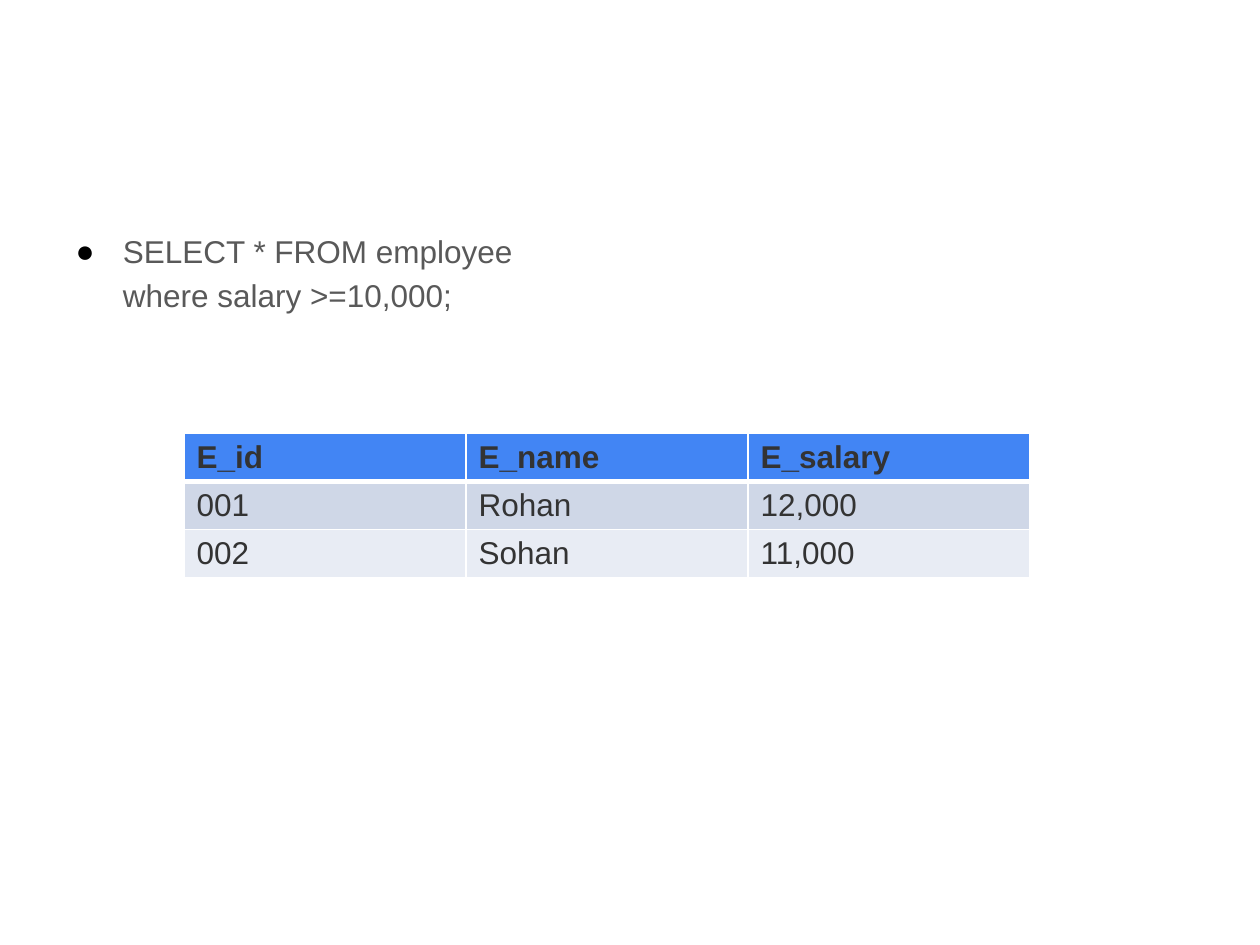
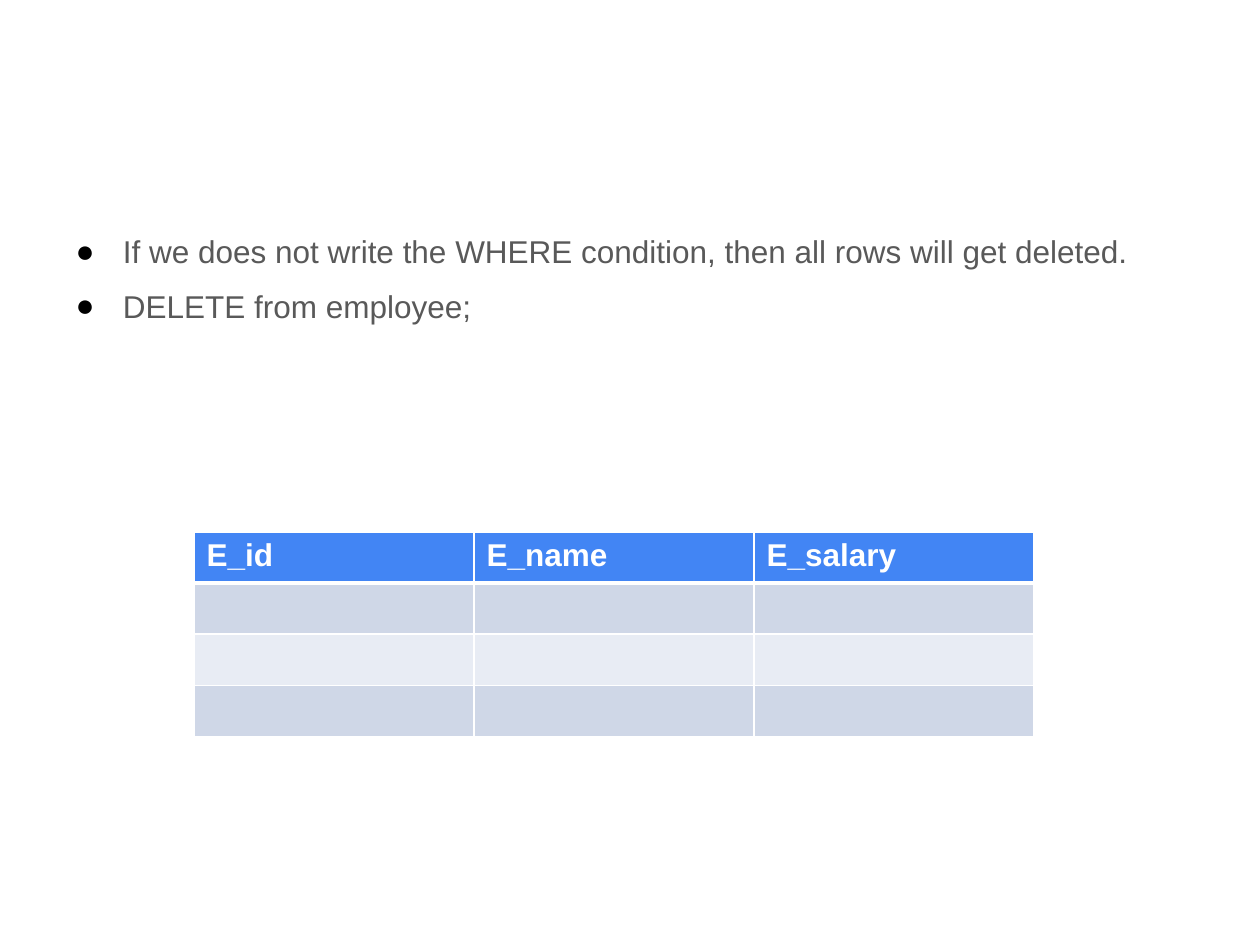
import pptx
import pptx.dml.color
import pptx.enum.text
import pptx.oxml.ns
import pptx.util
from lxml import etree

Pt = pptx.util.Pt
qn = pptx.oxml.ns.qn
RGBColor = pptx.dml.color.RGBColor

BLACK = RGBColor(0x00, 0x00, 0x00)
WHITE = RGBColor(0xFF, 0xFF, 0xFF)
BODY_GREY = RGBColor(0x59, 0x59, 0x59)
CELL_GREY = RGBColor(0x33, 0x33, 0x33)
HEADER_BLUE = RGBColor(0x42, 0x85, 0xF4)
BANDS = [RGBColor(0xCF, 0xD7, 0xE7), RGBColor(0xE8, 0xEC, 0xF4)]

TEXT_FORMAT = {"name": "Arial", "size": Pt(18)}
BODY_PLACE = {"left": Pt(36), "top": Pt(126), "width": Pt(648), "height": Pt(356.4)}
COLUMNS = ["E_id", "E_name", "E_salary"]

SLIDES = [
    {
        "bullets": ["SELECT * FROM employee\vwhere salary >=10,000;"],
        "rows": [["001", "Rohan", "12,000"], ["002", "Sohan", "11,000"]],
        "left": 105.1, "top": 247.8, "column_width": 161.2, "row_height": 17.3,
        "header_color": CELL_GREY,
    },
    {
        "bullets": [
            "If we does not write the WHERE condition, then all rows will get deleted.",
            "DELETE from employee;",
        ],
        "rows": [[""] * 3] * 3,
        "left": 110.9, "top": 304, "column_width": 160, "row_height": 29.2,
        "header_color": WHITE,
    },
]


def format_runs(para, color, bold=False):
    for span in para.runs:
        for name, value in {**TEXT_FORMAT, "bold": bold}.items():
            setattr(span.font, name, value)
        span.font.color.rgb = color


def add_border(cell, side, width):
    line = etree.SubElement(cell._tc.get_or_add_tcPr(), qn(f"a:ln{side}"), w=str(Pt(width)))
    fill = etree.SubElement(line, qn("a:solidFill"))
    etree.SubElement(fill, qn("a:srgbClr"), val=str(WHITE))


deck = pptx.Presentation()
deck.slide_width, deck.slide_height = Pt(720), Pt(540)

for content in SLIDES:
    page = deck.slides.add_slide(deck.slide_layouts[1])
    title = page.shapes.title._element
    title.getparent().remove(title)

    # Bulleted text
    body = page.placeholders[1]
    for name, value in BODY_PLACE.items():
        setattr(body, name, value)
    frame = body.text_frame
    frame.auto_size = pptx.enum.text.MSO_AUTO_SIZE.NONE
    for index, text in enumerate(content["bullets"]):
        para = frame.add_paragraph() if index else frame.paragraphs[0]
        para.text = text
        para.line_spacing = 1.15
        para.space_before = Pt(6.4 if index else 0)
        properties = para._p.get_or_add_pPr()
        properties.set("marL", str(Pt(27)))
        properties.set("indent", str(-Pt(27)))
        bullet_color = etree.SubElement(properties, qn("a:buClr"))
        etree.SubElement(bullet_color, qn("a:srgbClr"), val=str(BLACK))
        etree.SubElement(properties, qn("a:buFont"), typeface="Arial")
        etree.SubElement(properties, qn("a:buChar"), char="●")
        for line_break in para._p.findall(qn("a:br")):
            etree.SubElement(line_break, qn("a:rPr"), sz="1800")
        format_runs(para, BODY_GREY)

    # Employee table
    rows = [COLUMNS] + content["rows"]
    width, height = content["column_width"], content["row_height"]
    table = page.shapes.add_table(
        len(rows), len(COLUMNS), Pt(content["left"]), Pt(content["top"]),
        Pt(width * len(COLUMNS)), Pt(height * len(rows))).table
    for column in table.columns:
        column.width = Pt(width)
    for row in table.rows:
        row.height = Pt(height)
    for row_index, row in enumerate(rows):
        is_header = row_index == 0
        for column_index, text in enumerate(row):
            cell = table.cell(row_index, column_index)
            for side in "LRTB":
                under_header = (row_index, side) in [(0, "B"), (1, "T")]
                add_border(cell, side, 3 if under_header else 1)
            cell.fill.solid()
            cell.fill.fore_color.rgb = HEADER_BLUE if is_header else BANDS[(row_index - 1) % 2]
            if text:
                cell.text = text
                color = content["header_color"] if is_header else CELL_GREY
                format_runs(cell.text_frame.paragraphs[0], color, is_header)

deck.save("out.pptx")
